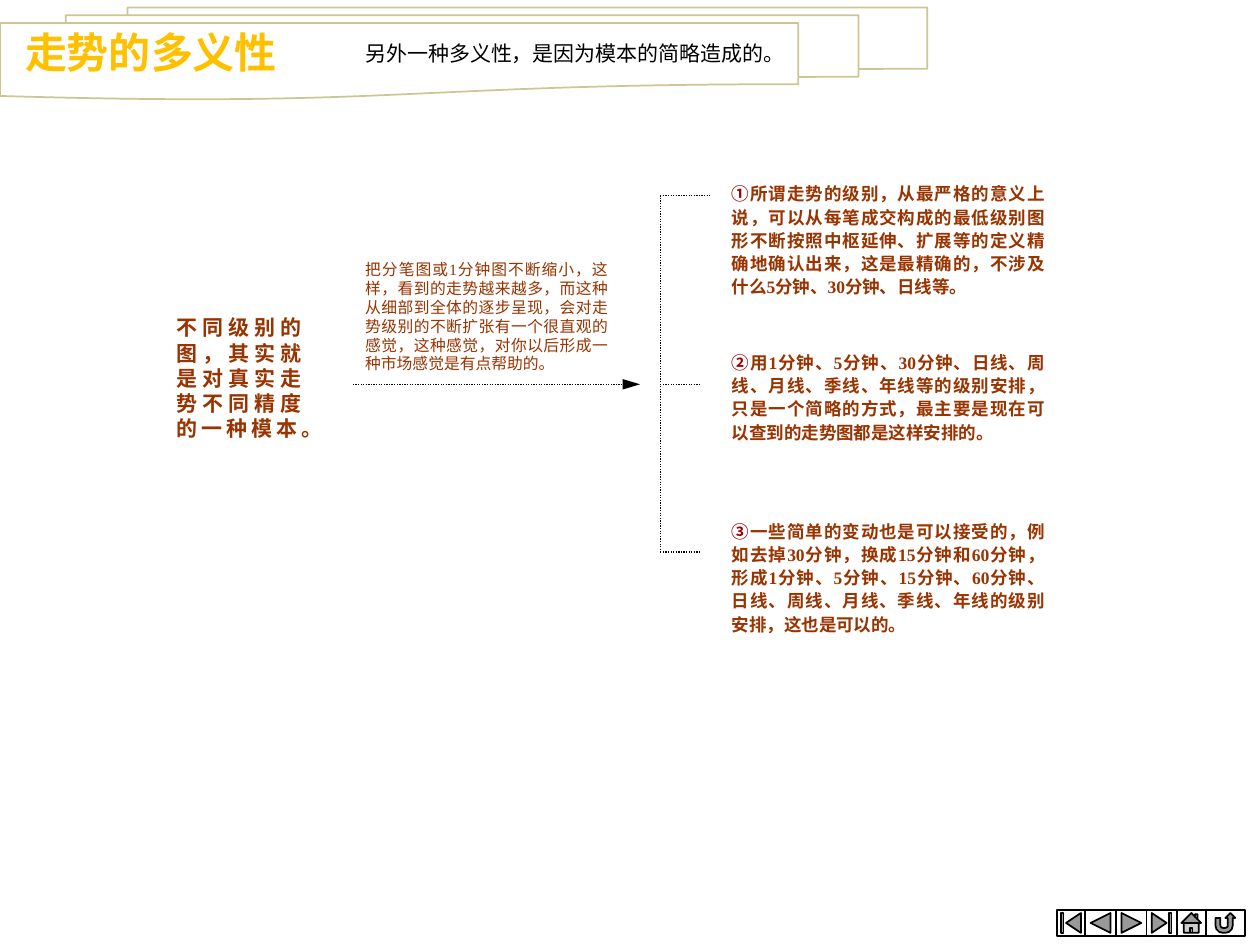
from dataclasses import dataclass

from lxml.etree import SubElement
from pptx import Presentation
from pptx.dml.color import RGBColor
from pptx.enum.dml import MSO_LINE
from pptx.enum.shapes import MSO_CONNECTOR, MSO_SHAPE
from pptx.enum.text import MSO_ANCHOR, PP_ALIGN
from pptx.oxml.ns import qn
from pptx.util import Inches, Pt

BROWN = "993300"
RED = "990000"
BLACK = "000000"
WHITE = "FFFFFF"
CJK_FONT = "Noto Sans CJK SC"
SERIF = "Times New Roman"


@dataclass
class Span:
    text: str
    size: float
    font: str
    color: str
    bold: bool = False


@dataclass
class TextBlock:
    left: float
    top: float
    width: float
    height: float
    spans: list[Span]
    justified: bool = True
    line_spacing: float = 1.0
    anchor: MSO_ANCHOR = MSO_ANCHOR.TOP


@dataclass
class Button:
    preset: MSO_SHAPE
    width: float


def rgb(color: str) -> RGBColor:
    return RGBColor.from_string(color)


def add_text(page, block: TextBlock) -> None:
    box = page.shapes.add_textbox(
        Inches(block.left), Inches(block.top), Inches(block.width), Inches(block.height)
    )
    frame = box.text_frame
    frame.word_wrap = block.justified
    frame.vertical_anchor = block.anchor
    para = frame.paragraphs[0]
    para.alignment = PP_ALIGN.JUSTIFY if block.justified else PP_ALIGN.LEFT
    para.line_spacing = block.line_spacing
    for span in block.spans:
        run = para.add_run()
        run.text = span.text
        run.font.size = Pt(span.size)
        run.font.bold = span.bold
        run.font.color.rgb = rgb(span.color)
        run.font.name = span.font
        SubElement(run.font._element, qn("a:ea"), typeface=CJK_FONT)


def add_line(page, start: tuple[float, float], end: tuple[float, float], arrow: bool = False) -> None:
    line = page.shapes.add_connector(
        MSO_CONNECTOR.STRAIGHT, *map(Inches, start), *map(Inches, end)
    )
    line.line.color.rgb = rgb(BLACK)
    line.line.width = Pt(0.75)
    line.line.dash_style = MSO_LINE.ROUND_DOT
    if arrow:
        SubElement(line.line._get_or_add_ln(), qn("a:tailEnd"), type="triangle", w="med", len="lg")
    SubElement(line._element.spPr, qn("a:effectLst"))


def add_outlined_shape(
    page, preset: MSO_SHAPE, left: float, top: float, width: float, height: float, line_color: str
) -> None:
    """Draw a white preset shape with a one-point outline."""
    shape = page.shapes.add_shape(preset, Inches(left), Inches(top), Inches(width), Inches(height))
    shape.shadow.inherit = False
    shape.fill.solid()
    shape.fill.fore_color.rgb = rgb(WHITE)
    shape.line.color.rgb = rgb(line_color)
    shape.line.width = Pt(1)


def add_bracket(page, spine: float, branches: list[tuple[float, float]]) -> None:
    """Draw a vertical spine with branches given as (right end, height on page)."""
    add_line(page, (spine, branches[0][1]), (spine, branches[-1][1]))
    for right, level in branches:
        add_line(page, (spine, level), (right, level))


def numbered_point(top: float, height: float, number: str, text: str) -> TextBlock:
    spans = [Span(number, 10, "Arial", RED, True), Span(text, 10, SERIF, BROWN, True)]
    return TextBlock(5.71, top, 2.68, height, spans, line_spacing=1.1)


TEXT_BLOCKS = [
    TextBlock(0.1, 0.18, 2.22, 0.48, [Span("走势的多义性", 24, CJK_FONT, "FFC000", True)],
              justified=False, anchor=MSO_ANCHOR.BOTTOM),
    TextBlock(2.8, 0.27, 3.54, 0.39,
              [Span("另外一种多义性，是因为模本的简略造成的。", 12, "Arial", BLACK)],
              justified=False),
    TextBlock(1.3, 2.45, 1.19, 1.18,
              [Span("不同级别的图，其实就是对真实走势不同精度的一种模本。", 12, SERIF, BROWN, True)]),
    TextBlock(2.8, 2.01, 2.12, 1.02, [Span(
        "把分笔图或1分钟图不断缩小，这样，看到的走势越来越多，而这种从细部到全体的逐步呈现，"
        "会对走势级别的不断扩张有一个很直观的感觉，这种感觉，对你以后形成一种市场感觉是有点帮助的。",
        9, SERIF, BROWN)]),
    numbered_point(
        1.39, 1.1, "①",
        "所谓走势的级别，从最严格的意义上说，可以从每笔成交构成的最低级别图形不断按照中枢延伸、"
        "扩展等的定义精确地确认出来，这是最精确的，不涉及什么5分钟、30分钟、日线等。"),
    numbered_point(
        2.73, 0.94, "②",
        "用1分钟、5分钟、30分钟、日线、周线、月线、季线、年线等的级别安排，"
        "只是一个简略的方式，最主要是现在可以查到的走势图都是这样安排的。"),
    numbered_point(
        4.07, 1.1, "③",
        "一些简单的变动也是可以接受的，例如去掉30分钟，换成15分钟和60分钟，形成1分钟、5分钟、"
        "15分钟、60分钟、日线、周线、月线、季线、年线的级别安排，这也是可以的。"),
]

BUTTONS = [
    Button(MSO_SHAPE.ACTION_BUTTON_BEGINNING, 0.22),
    Button(MSO_SHAPE.ACTION_BUTTON_BACK_OR_PREVIOUS, 0.25),
    Button(MSO_SHAPE.ACTION_BUTTON_FORWARD_OR_NEXT, 0.24),
    Button(MSO_SHAPE.ACTION_BUTTON_END, 0.24),
    Button(MSO_SHAPE.ACTION_BUTTON_HOME, 0.23),
    Button(MSO_SHAPE.ACTION_BUTTON_RETURN, 0.31),
]


def main() -> None:
    deck = Presentation()
    deck.slide_width, deck.slide_height = Inches(10), Inches(7.5)
    page = deck.slides.add_slide(deck.slide_layouts[6])

    add_outlined_shape(page, MSO_SHAPE.FLOWCHART_MULTIDOCUMENT, 0, 0.06, 7.36, 0.73, "CEC597")
    for block in TEXT_BLOCKS:
        add_text(page, block)

    add_line(page, (2.8, 3.05), (5.08, 3.05), arrow=True)
    add_bracket(page, 5.24, [(5.63, 1.55), (5.56, 3.05), (5.56, 4.38)])

    left = 8.39
    for button in BUTTONS:
        add_outlined_shape(page, button.preset, left, 7.22, button.width, 0.21, BLACK)
        left += button.width

    deck.save("out.pptx")


if __name__ == "__main__":
    main()
